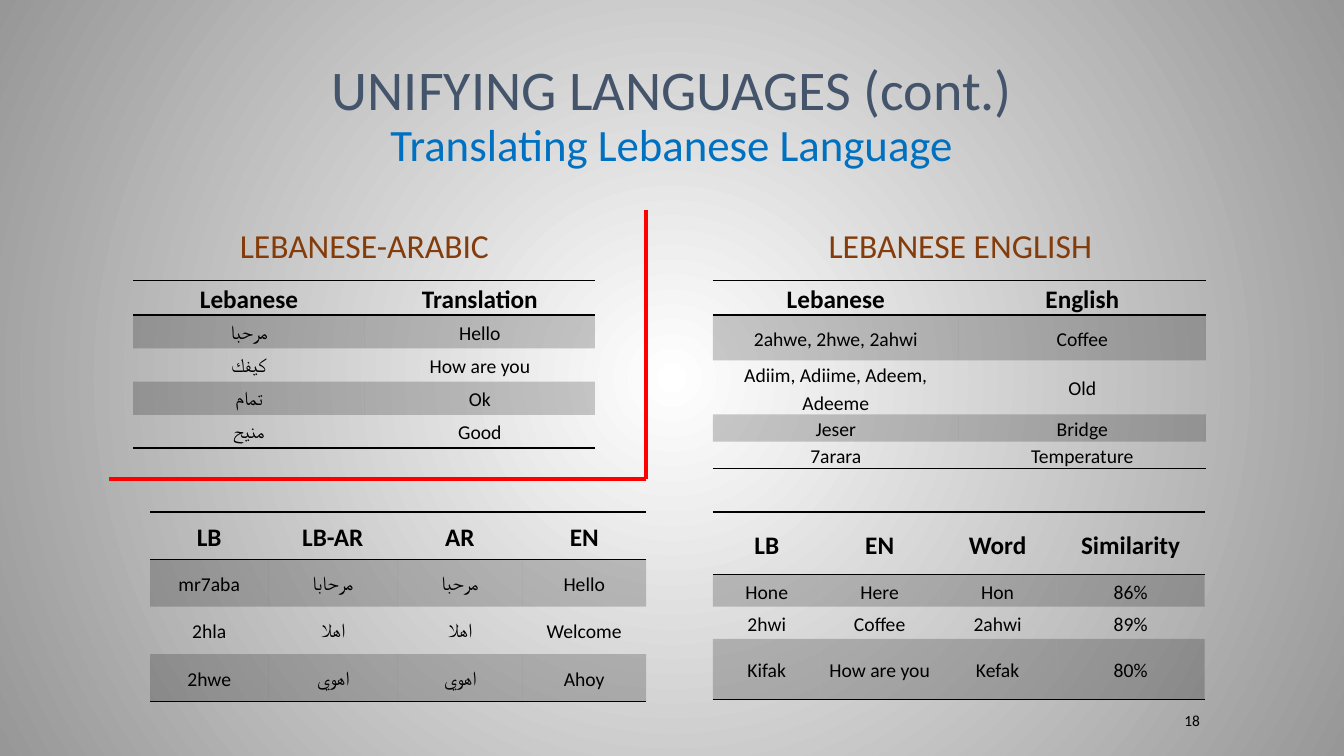
from dataclasses import dataclass

from lxml.etree import SubElement
from pptx import Presentation
from pptx.dml.color import RGBColor as Rgb
from pptx.enum.shapes import MSO_CONNECTOR as Connector
from pptx.enum.text import MSO_ANCHOR as Anchor, PP_ALIGN as Align
from pptx.oxml.ns import qn
from pptx.slide import Slide
from pptx.util import Inches, Pt


@dataclass(frozen=True)
class Theme:
    font: str = "Calibri"
    ink: str = "000000"
    title: str = "44546A"
    subtitle: str = "0070C0"
    heading: str = "843C0B"
    divider: str = "FF0000"
    glow: str = "FFFFFF"
    edge: str = "979797"
    band_alpha: int = 20
    title_size: int = 40
    subtitle_size: int = 32
    heading_size: int = 24
    header_size: int = 18
    cell_size: int = 14
    number_size: int = 11
    rule_width: int = 1
    divider_width: int = 3
    no_style: str = "{2D5ABB26-0587-4C30-8999-92F81FD0307C}"


THEME = Theme()


@dataclass(frozen=True)
class Words:
    text: str
    size: int
    color: str
    bold: bool = False


@dataclass(frozen=True)
class Caption:
    left: float
    top: float
    width: float
    height: float
    lines: tuple[Words, ...]
    align: Align = Align.CENTER
    anchor: Anchor = Anchor.MIDDLE
    spacing: float = 0.9


@dataclass(frozen=True)
class Glossary:
    left: float
    top: float
    margin: float
    widths: tuple[float, ...]
    heights: tuple[float, ...]
    rows: tuple[tuple[str, ...], ...]


@dataclass(frozen=True)
class Divider:
    start: tuple[float, float]
    end: tuple[float, float]


CAPTIONS = (
    Caption(1.33, 2, 4.57, 0.92,
            (Words("LEBANESE-ARABIC", THEME.heading_size, THEME.heading),)),
    Caption(6.08, 2, 6.89, 0.92,
            (Words("LEBANESE ENGLISH", THEME.heading_size, THEME.heading),)),
    Caption(1.33, 0.3, 10.67, 1.45,
            (Words("UNIFYING LANGUAGES (cont.)", THEME.title_size, THEME.title),
             Words("Translating Lebanese Language", THEME.subtitle_size, THEME.subtitle)),
            anchor=Anchor.BOTTOM),
    Caption(10.75, 7.05, 1.25, 0.2,
            (Words("18", THEME.number_size, THEME.ink),),
            align=Align.RIGHT, spacing=1.0),
)

GLOSSARIES = (
    Glossary(1.32, 2.78, 0.04, (2.3, 2.28), (0.33,) * 5, (
        ("Lebanese", "Translation"),
        ("مرحبا", "Hello"),
        ("كيفك", "How are you"),
        ("تمام", "Ok"),
        ("منيح", "Good"),
    )),
    Glossary(7.07, 2.78, 0.04, (2.44, 2.45), (0.3, 0.45, 0.48, 0.23, 0.23), (
        ("Lebanese", "English"),
        ("2ahwe, 2hwe, 2ahwi", "Coffee"),
        ("Adiim, Adiime, Adeem, Adeeme", "Old"),
        ("Jeser", "Bridge"),
        ("7arara", "Temperature"),
    )),
    Glossary(7.07, 5.08, 0.07, (1.07, 1.17, 1.17, 1.47), (0.62, 0.32, 0.32, 0.6), (
        ("LB", "EN", "Word", "Similarity"),
        ("Hone", "Here", "Hon", "86%"),
        ("2hwi", "Coffee", "2ahwi", "89%"),
        ("Kifak", "How are you", "Kefak", "80%"),
    )),
    Glossary(1.49, 5.08, 0.07, (1.17, 1.28, 1.24, 1.23), (0.47,) * 4, (
        ("LB", "LB-AR", "AR", "EN"),
        ("mr7aba", "مرحابا", "مرحبا", "Hello"),
        ("2hla", "اهلا", "اهلا", "Welcome"),
        ("2hwe", "اهوي", "اهوي", "Ahoy"),
    )),
)

CORNER = (6.41, 4.75)
DIVIDERS = (Divider((6.41, 2.08), CORNER), Divider(CORNER, (1.08, 4.75)))


def paint_background(slide: Slide) -> None:
    fill = slide.background.fill
    fill.gradient()
    for stop, color in zip(fill.gradient_stops, (THEME.glow, THEME.edge)):
        stop.color.rgb = Rgb.from_string(color)
    # Turn the linear gradient into a centred circular one
    gradient = slide.element.find(".//" + qn("a:gradFill"))
    gradient.remove(gradient.find(qn("a:lin")))
    circle = SubElement(gradient, qn("a:path"), {"path": "circle"})
    SubElement(circle, qn("a:fillToRect"), dict.fromkeys("ltrb", "50000"))


def add_words(paragraph, words: Words) -> None:
    run = paragraph.add_run()
    run.text = words.text
    run.font.name = THEME.font
    run.font.size = Pt(words.size)
    run.font.bold = words.bold
    run.font.color.rgb = Rgb.from_string(words.color)


def draw_caption(slide: Slide, caption: Caption) -> None:
    box = slide.shapes.add_textbox(Inches(caption.left), Inches(caption.top),
                                   Inches(caption.width), Inches(caption.height))
    frame = box.text_frame
    frame.word_wrap = True
    frame.vertical_anchor = caption.anchor
    paragraph = frame.paragraphs[0]
    paragraph.alignment = caption.align
    paragraph.line_spacing = caption.spacing
    for index, words in enumerate(caption.lines):
        if index:
            paragraph.add_line_break()
        add_words(paragraph, words)


def add_rule(cell, side: str) -> None:
    rule = SubElement(cell._tc.get_or_add_tcPr(), qn(f"a:{side}"),
                      {"w": str(Pt(THEME.rule_width))})
    SubElement(SubElement(rule, qn("a:solidFill")), qn("a:srgbClr"), {"val": THEME.ink})


def shade(cell, banded: bool) -> None:
    if not banded:
        cell.fill.background()
        return
    cell.fill.solid()
    cell.fill.fore_color.rgb = Rgb.from_string(THEME.ink)
    color = cell._tc.tcPr.find(qn("a:solidFill")).find(qn("a:srgbClr"))
    SubElement(color, qn("a:alpha"), {"val": str(THEME.band_alpha * 1000)})


def draw_glossary(slide: Slide, glossary: Glossary) -> None:
    table = slide.shapes.add_table(
        len(glossary.heights), len(glossary.widths),
        Inches(glossary.left), Inches(glossary.top),
        Inches(sum(glossary.widths)), Inches(sum(glossary.heights))).table
    table.horz_banding = False
    table._tbl.tblPr.find(qn("a:tableStyleId")).text = THEME.no_style
    for column, width in zip(table.columns, glossary.widths):
        column.width = Inches(width)
    for r, (height, entries) in enumerate(zip(glossary.heights, glossary.rows)):
        table.rows[r].height = Inches(height)
        header = r == 0
        size = THEME.header_size if header else THEME.cell_size
        for c, entry in enumerate(entries):
            cell = table.cell(r, c)
            cell.vertical_anchor = Anchor.MIDDLE
            cell.margin_left = cell.margin_right = Inches(glossary.margin)
            cell.margin_top = cell.margin_bottom = 0
            paragraph = cell.text_frame.paragraphs[0]
            paragraph.alignment = Align.CENTER
            paragraph.line_spacing = 1.15
            paragraph.space_after = Pt(6)
            add_words(paragraph, Words(entry, size, THEME.ink, header))
            # Rules go around the header and under the last row
            if header:
                add_rule(cell, "lnT")
            if header or r == len(glossary.rows) - 1:
                add_rule(cell, "lnB")
            shade(cell, r % 2 == 1)


def draw_divider(slide: Slide, divider: Divider) -> None:
    line = slide.shapes.add_connector(
        Connector.STRAIGHT, *map(Inches, divider.start + divider.end))
    line.line.color.rgb = Rgb.from_string(THEME.divider)
    line.line.width = Pt(THEME.divider_width)
    SubElement(line._element.spPr, qn("a:effectLst"))


def main() -> None:
    deck = Presentation()
    deck.slide_width, deck.slide_height = Inches(13.33), Inches(7.5)
    slide = deck.slides.add_slide(deck.slide_layouts[6])
    paint_background(slide)
    for caption in CAPTIONS:
        draw_caption(slide, caption)
    for glossary in GLOSSARIES:
        draw_glossary(slide, glossary)
    for divider in DIVIDERS:
        draw_divider(slide, divider)
    deck.save("out.pptx")


if __name__ == "__main__":
    main()
